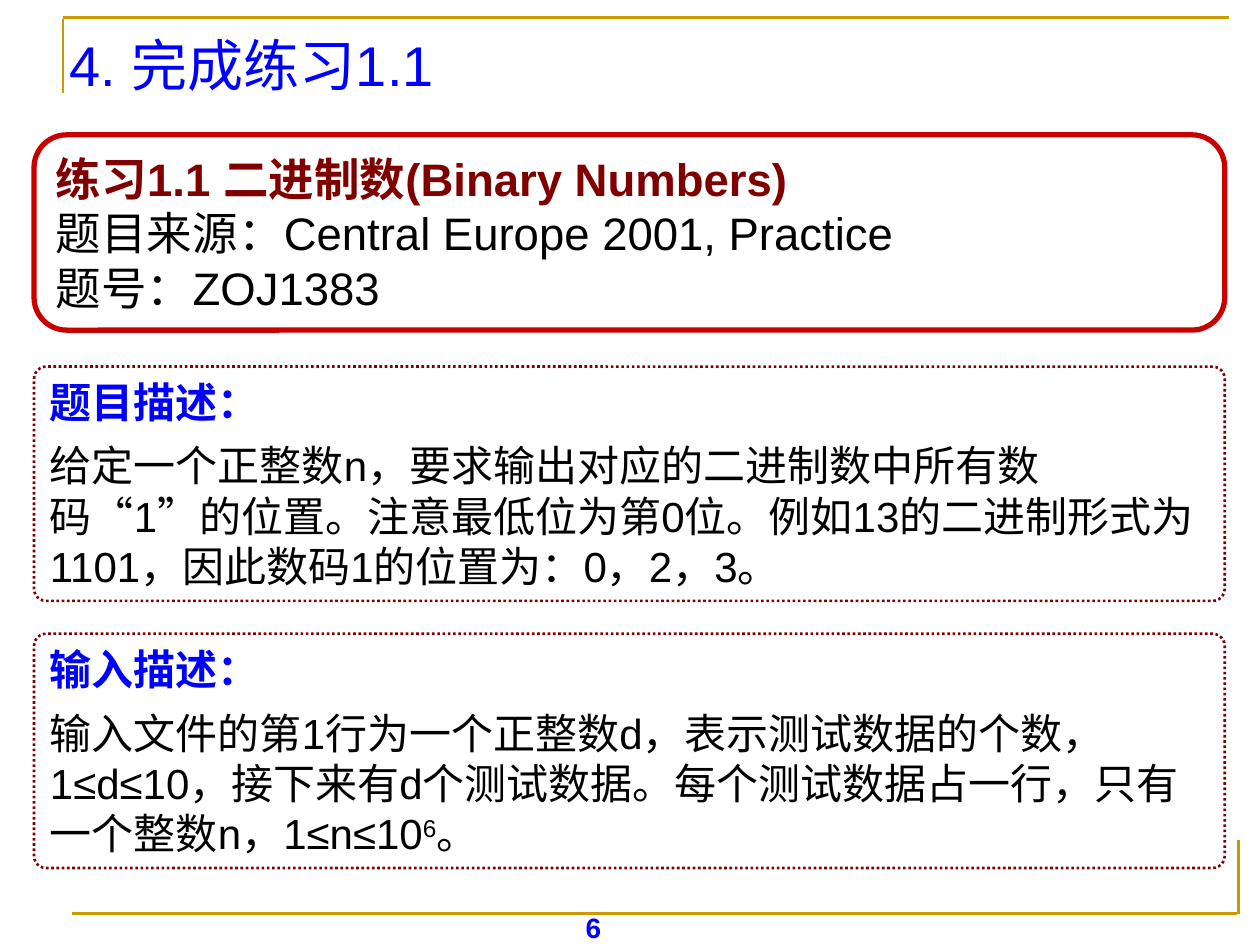
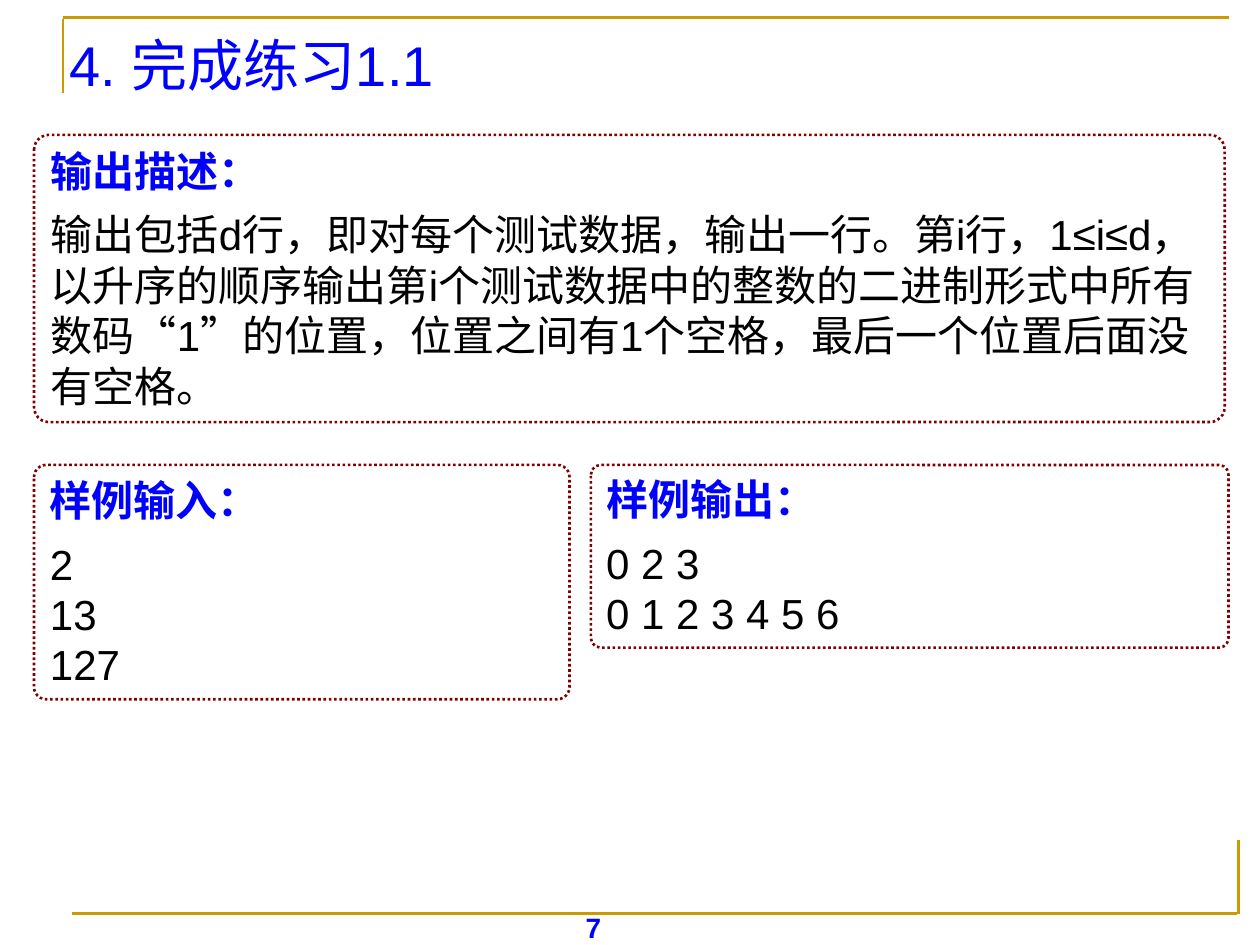
from dataclasses import dataclass

from lxml.etree import SubElement
from pptx import Presentation
from pptx.dml.color import RGBColor
from pptx.enum.dml import MSO_LINE
from pptx.enum.lang import MSO_LANGUAGE_ID
from pptx.enum.shapes import MSO_CONNECTOR, MSO_SHAPE
from pptx.enum.text import MSO_ANCHOR, MSO_AUTO_SIZE, PP_ALIGN
from pptx.oxml.ns import qn
from pptx.util import Inches, Pt

WIDTH, HEIGHT = Inches(10), Inches(7.5)
COLS, ROWS = 100, 75
FONT = "Arial"
COLORS = {"rule": "CC9900", "head": "0000FF", "text": "000000",
          "maroon": "800000", "red": "C80000", "paper": "FFFFFF"}
TITLE = "4. 完成练习1.1"
LEFT, TOP, WIDE = 2.7, 10.7, 94.5
RULES = [(5, 1.5, 5, 7.4), (5, 1.4, 97.5, 1.4),
         (98.3, 66.7, 98.3, 72.5), (5.7, 72.5, 98.2, 72.5)]


@dataclass
class Panel:
    """A rounded box: a heading, then lines in which ^ marks off superscripts."""
    left: float
    top: float
    width: float
    height: float
    head: str
    lines: list[str]
    size: float = 24
    color: str = "head"
    edge: str = "maroon"
    weight: float = 1.5
    dotted: bool = True
    bend: float = 0.052
    head_gap: float = 7.5
    line_gap: float = 0


PAGES = {
    6: [
        Panel(LEFT, TOP, WIDE, 15.5, "练习1.1 二进制数(Binary Numbers)",
              ["题目来源：Central Europe 2001, Practice", "题号：ZOJ1383"],
              size=26, color="maroon", edge="red", weight=3, dotted=False,
              bend=0.167, head_gap=0),
        Panel(LEFT, 29.1, WIDE, 18.6, "题目描述：",
              ["给定一个正整数n，要求输出对应的二进制数中所有数码“1”的位置。"
               "注意最低位为第0位。例如13的二进制形式为1101，"
               "因此数码1的位置为：0，2，3。"], line_gap=7.5),
        Panel(LEFT, 50.3, WIDE, 18.6, "输入描述：",
              ["输入文件的第1行为一个正整数d，表示测试数据的个数，1≤d≤10，"
               "接下来有d个测试数据。每个测试数据占一行，"
               "只有一个整数n，1≤n≤10^6^。"], line_gap=7.5),
    ],
    7: [
        Panel(LEFT, TOP, WIDE, 22.8, "输出描述：",
              ["输出包括d行，即对每个测试数据，输出一行。第i行，1≤i≤d，"
               "以升序的顺序输出第i个测试数据中的整数的二进制形式中所有数码“1”的位置，"
               "位置之间有1个空格，最后一个位置后面没有空格。"], line_gap=7.5),
        Panel(LEFT, 36.9, 42.5, 18.6, "样例输入：", ["2", "13", "127"]),
        Panel(46.9, 36.9, 50.6, 14.5, "样例输出：", ["0 2 3", "0 1 2 3 4 5 6"]),
    ],
}


def col(n: float) -> int:
    return round(WIDTH * n / COLS)


def row(n: float) -> int:
    return round(HEIGHT * n / ROWS)


def place(left: float, top: float, width: float, height: float) -> tuple:
    return col(left), row(top), col(width), row(height)


def tint(name: str) -> RGBColor:
    return RGBColor.from_string(COLORS[name])


def write(para, text: str, *, size: float, color: str, bold: bool = False,
          align=PP_ALIGN.LEFT, after: float = 0) -> None:
    para.alignment = align
    para.space_after = Pt(after)
    for i, part in enumerate(text.split("^")):
        run = para.add_run()
        run.text = part
        font = run.font
        font.name, font.size, font.bold = FONT, Pt(size), bold
        font.color.rgb = tint(color)
        font.language_id = MSO_LANGUAGE_ID.SIMPLIFIED_CHINESE
        if i % 2:
            run._r.get_or_add_rPr().set("baseline", "30000")


def draw_frame(slide, page: int) -> None:
    """Draw the rules, page number and title that every slide has."""
    for x1, y1, x2, y2 in RULES:
        rule = slide.shapes.add_connector(
            MSO_CONNECTOR.STRAIGHT, col(x1), row(y1), col(x2), row(y2))
        rule.line.color.rgb = tint("rule")
        rule.line.width = Pt(1.5)
        SubElement(rule._element.spPr, qn("a:effectLst"))

    foot = slide.shapes.add_textbox(*place(36.7, 71.8, 20.8, 2.5)).text_frame
    foot.word_wrap = True
    write(foot.paragraphs[0], str(page), size=16, color="head", bold=True,
          align=PP_ALIGN.CENTER)

    title = slide.shapes.title
    title.left, title.top, title.width, title.height = place(5.1, 1.7, 93.7, 6.7)
    frame = title.text_frame
    frame.auto_size = MSO_AUTO_SIZE.NONE
    frame.vertical_anchor = MSO_ANCHOR.MIDDLE
    frame.margin_left = frame.margin_right = col(0.4)
    write(frame.paragraphs[0], TITLE, size=32, color="head")


def draw_panel(slide, panel: Panel) -> None:
    box = slide.shapes.add_shape(
        MSO_SHAPE.ROUNDED_RECTANGLE,
        *place(panel.left, panel.top, panel.width, panel.height))
    box.adjustments[0] = panel.bend
    box.shadow.inherit = False
    box.fill.solid()
    box.fill.fore_color.rgb = tint("paper")
    box.line.color.rgb = tint(panel.edge)
    box.line.width = Pt(panel.weight)
    if panel.dotted:
        box.line.dash_style = MSO_LINE.ROUND_DOT
    frame = box.text_frame
    frame.word_wrap = True
    frame.auto_size = MSO_AUTO_SIZE.SHAPE_TO_FIT_TEXT
    frame.vertical_anchor = MSO_ANCHOR.TOP
    write(frame.paragraphs[0], panel.head, size=panel.size, color=panel.color,
          bold=True, after=panel.head_gap)
    for line in panel.lines:
        write(frame.add_paragraph(), line, size=panel.size, color="text",
              after=panel.line_gap)


def main() -> None:
    deck = Presentation()
    deck.slide_width, deck.slide_height = WIDTH, HEIGHT
    for page, panels in PAGES.items():
        slide = deck.slides.add_slide(deck.slide_layouts[5])
        draw_frame(slide, page)
        for panel in panels:
            draw_panel(slide, panel)
    deck.save("out.pptx")


if __name__ == "__main__":
    main()
